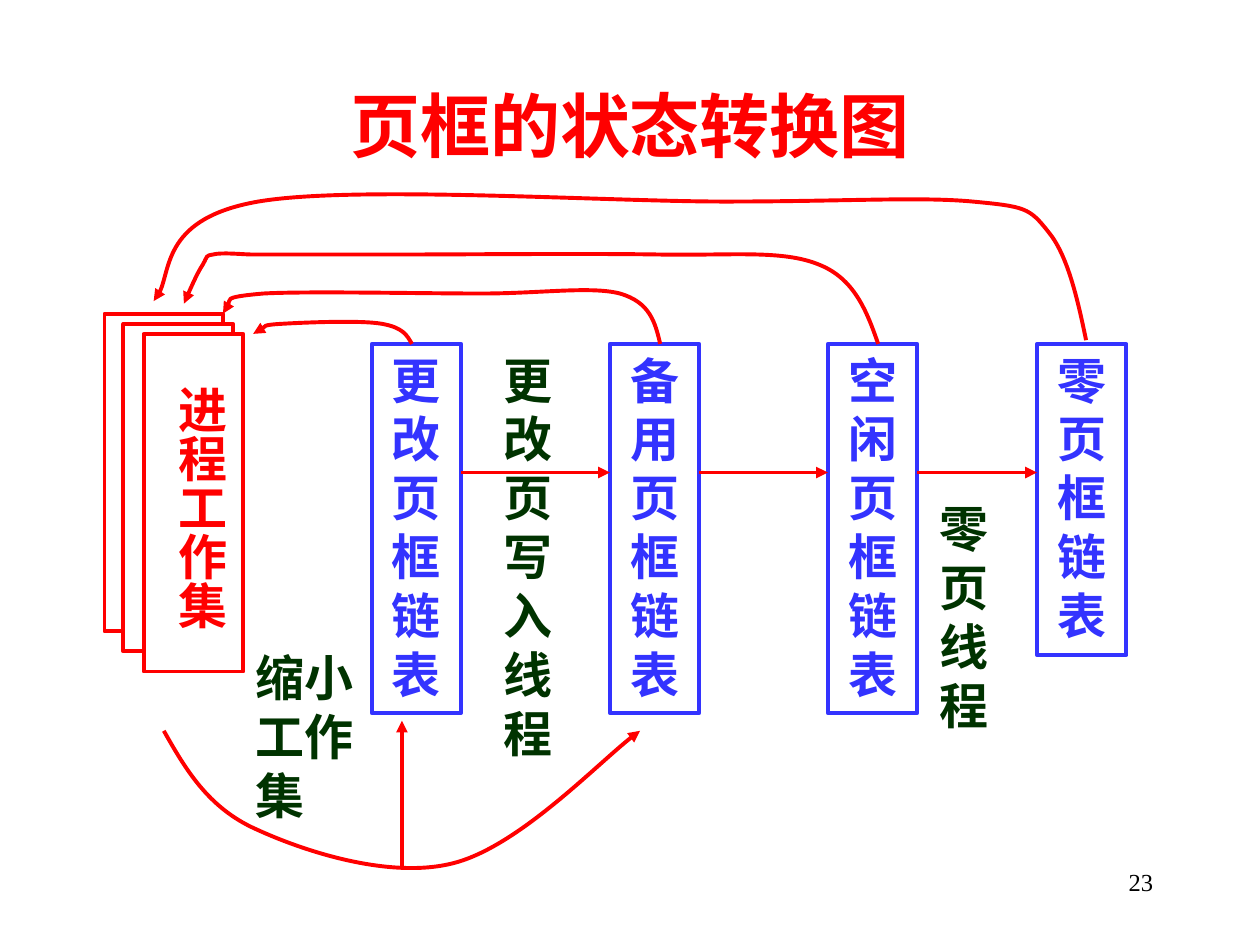
from typing import NamedTuple

from lxml import etree
from pptx import Presentation
from pptx.dml.color import RGBColor
from pptx.enum.shapes import MSO_CONNECTOR, MSO_SHAPE
from pptx.enum.text import MSO_ANCHOR, MSO_AUTO_SIZE, PP_ALIGN
from pptx.oxml.ns import qn
from pptx.util import Inches, Pt

RED = RGBColor(0xFF, 0x00, 0x00)
BLUE = RGBColor(0x33, 0x33, 0xFF)
GREEN = RGBColor(0x00, 0x33, 0x00)
BLACK = RGBColor(0x00, 0x00, 0x00)
WHITE = RGBColor(0xFF, 0xFF, 0xFF)
FONT = "Times New Roman"
LEFT, CENTER, RIGHT = PP_ALIGN.LEFT, PP_ALIGN.CENTER, PP_ALIGN.RIGHT
RECTANGLE, STRAIGHT = MSO_SHAPE.RECTANGLE, MSO_CONNECTOR.STRAIGHT
TOP, MIDDLE = MSO_ANCHOR.TOP, MSO_ANCHOR.MIDDLE
FIT_SHAPE, NO_FIT = MSO_AUTO_SIZE.SHAPE_TO_FIT_TEXT, MSO_AUTO_SIZE.NONE

LIST_TOP, LIST_WIDTH, ARROW_Y = 2.73, 0.71, 3.75

Point = tuple[float, float]


class Area(NamedTuple):
    left: float
    top: float
    width: float
    height: float


class PageList(NamedTuple):
    name: str
    left: float
    height: float


class Label(NamedTuple):
    lines: list[str]
    area: Area


class Curve(NamedTuple):
    start: Point
    segments: list[tuple[float, ...]]  # two control points and an end point


PAGE_LISTS = [
    PageList("更改页框链表", 2.95, 2.93),
    PageList("备用页框链表", 4.84, 2.93),
    PageList("空闲页框链表", 6.57, 2.93),
    PageList("零页框链表", 8.23, 2.47),
]
LABELS = [
    Label(["更改页", "写入", "线程"], Area(3.9, 2.73, 0.87, 3.37)),
    Label(["零页线程"], Area(7.36, 3.91, 0.94, 1.97)),
    Label(["缩小工作集"], Area(1.93, 5.09, 1.18, 1.5)),
]
WORKING_SETS = [
    Area(0.83, 2.49, 0.94, 2.52),
    Area(0.98, 2.57, 0.87, 2.6),
    Area(1.14, 2.65, 0.79, 2.68),
]
CURVES = [
    # Working set down to the standby list
    Curve((1.3, 5.8), [
        (1.47, 6.1, 1.65, 6.41, 2.03, 6.58),
        (2.42, 6.76, 3.1, 6.98, 3.6, 6.85),
        (4.11, 6.72, 4.83, 5.97, 5.08, 5.8),
    ]),
    # Zeroed list back to the working set
    Curve((8.62, 2.7), [
        (8.55, 2.36, 8.47, 2.02, 8.32, 1.84),
        (8.17, 1.65, 8.14, 1.64, 7.72, 1.6),
        (7.29, 1.56, 6.7, 1.6, 5.75, 1.6),
        (4.81, 1.6, 2.81, 1.47, 2.05, 1.6),
        (1.3, 1.73, 1.36, 2.26, 1.22, 2.39),
    ]),
    # Free list back to the working set
    Curve((6.97, 2.73), [
        (6.88, 2.47, 6.78, 2.21, 6.5, 2.1),
        (6.21, 1.98, 5.8, 2.03, 5.24, 2.02),
        (4.67, 2.01, 3.62, 2.02, 3.11, 2.02),
        (2.6, 2.02, 2.35, 2.02, 2.16, 2.02),
        (1.98, 2.02, 2.09, 2.02, 2.01, 2.02),
        (1.93, 2.02, 1.76, 2, 1.69, 2.02),
        (1.63, 2.03, 1.65, 2.03, 1.61, 2.1),
        (1.57, 2.16, 1.48, 2.36, 1.46, 2.41),
    ]),
    # Standby list back to the working set
    Curve((5.24, 2.73), [
        (5.2, 2.56, 5.16, 2.4, 4.92, 2.33),
        (4.69, 2.27, 4.29, 2.33, 3.82, 2.33),
        (3.35, 2.33, 2.43, 2.31, 2.09, 2.33),
        (1.74, 2.36, 1.82, 2.46, 1.77, 2.49),
    ]),
    # Modified list back to the working set
    Curve((3.27, 2.73), [
        (3.23, 2.66, 3.2, 2.6, 3.03, 2.57),
        (2.86, 2.54, 2.41, 2.56, 2.24, 2.57),
        (2.07, 2.58, 2.05, 2.64, 2.01, 2.65),
    ]),
]


def write(frame, lines: list[str], color: RGBColor, align=LEFT, size=28, bold=True) -> None:
    for index, line in enumerate(lines):
        para = frame.paragraphs[0] if index == 0 else frame.add_paragraph()
        para.alignment = align
        span = para.add_run()
        span.text = line
        span.font.name, span.font.size, span.font.bold = FONT, Pt(size), bold
        span.font.color.rgb = color


def add_box(shapes, area: Area, color: RGBColor):
    box = shapes.add_shape(RECTANGLE, *map(Inches, area))
    box.shadow.inherit = False
    box.fill.solid()
    box.fill.fore_color.rgb = WHITE
    box.line.color.rgb = color
    box.line.width = Pt(2.25)
    return box


def add_text(shapes, area: Area, lines: list[str], color: RGBColor, wrap=True, **style):
    frame = shapes.add_textbox(*map(Inches, area)).text_frame
    frame.word_wrap = wrap
    frame.auto_size = FIT_SHAPE
    write(frame, lines, color, **style)
    return frame


def style_arrow(line) -> None:
    line.color.rgb = RED
    line.width = Pt(2.25)
    etree.SubElement(line._get_or_add_ln(), qn("a:tailEnd"), type="triangle")


def add_arrow(shapes, start: Point, end: Point) -> None:
    arrow = shapes.add_connector(STRAIGHT, *map(Inches, start + end))
    style_arrow(arrow.line)
    etree.SubElement(arrow._element.spPr, qn("a:effectLst"))


def add_curve(shapes, curve: Curve) -> None:
    builder = shapes.build_freeform(*map(Inches, curve.start))
    ends = [(Inches(segment[4]), Inches(segment[5])) for segment in curve.segments]
    builder.add_line_segments(ends, close=False)
    shape = builder.convert_to_shape()
    shape.shadow.inherit = False
    shape.fill.background()
    style_arrow(shape.line)
    # Bend each straight segment into a cubic Bezier
    straights = list(shape._element.iter(qn("a:lnTo")))
    for straight, segment in zip(straights, curve.segments):
        bend = etree.Element(qn("a:cubicBezTo"))
        for x, y in zip(segment[::2], segment[1::2]):
            etree.SubElement(bend, qn("a:pt"), x=str(Inches(x) - shape.left),
                             y=str(Inches(y) - shape.top))
        straight.getparent().replace(straight, bend)


def main() -> None:
    deck = Presentation()
    deck.slide_width, deck.slide_height = Inches(10), Inches(7.5)
    slide = deck.slides.add_slide(deck.slide_layouts[5])
    shapes = slide.shapes

    # Title and page number
    title = shapes.title
    title.left, title.top, title.width, title.height = map(Inches, (0.75, 0.67, 8.5, 0.64))
    title.text_frame.auto_size = NO_FIT
    title.text_frame.vertical_anchor = MIDDLE
    write(title.text_frame, ["页框的状态转换图"], RED, CENTER, 40)
    add_text(shapes, Area(7.17, 6.83, 2.08, 0.5), ["23"], BLACK,
             align=RIGHT, size=14, bold=False)

    # Stack of process working sets
    stack = shapes.add_group_shape().shapes
    for area in WORKING_SETS:
        add_box(stack, area, RED)
    frame = add_text(stack, Area(1.21, 2.96, 0.67, 2.02), ["进程工作集"], RED, wrap=False)
    frame._txBody.bodyPr.set("vert", "eaVert")

    # Page frame lists and the arrows between them
    for item in PAGE_LISTS:
        box = add_box(shapes, Area(item.left, LIST_TOP, LIST_WIDTH, item.height), BLUE)
        box.text_frame.word_wrap = True
        box.text_frame.auto_size = FIT_SHAPE
        box.text_frame.vertical_anchor = TOP
        write(box.text_frame, [item.name], BLUE, CENTER)
    for source, target in zip(PAGE_LISTS, PAGE_LISTS[1:]):
        add_arrow(shapes, (source.left + LIST_WIDTH, ARROW_Y), (target.left, ARROW_Y))
    add_arrow(shapes, (3.19, 6.9), (3.19, 5.72))

    # Transition labels and curved arrows
    for label in LABELS:
        add_text(shapes, label.area, label.lines, GREEN)
    for curve in CURVES:
        add_curve(shapes, curve)

    deck.save("out.pptx")


if __name__ == "__main__":
    main()
